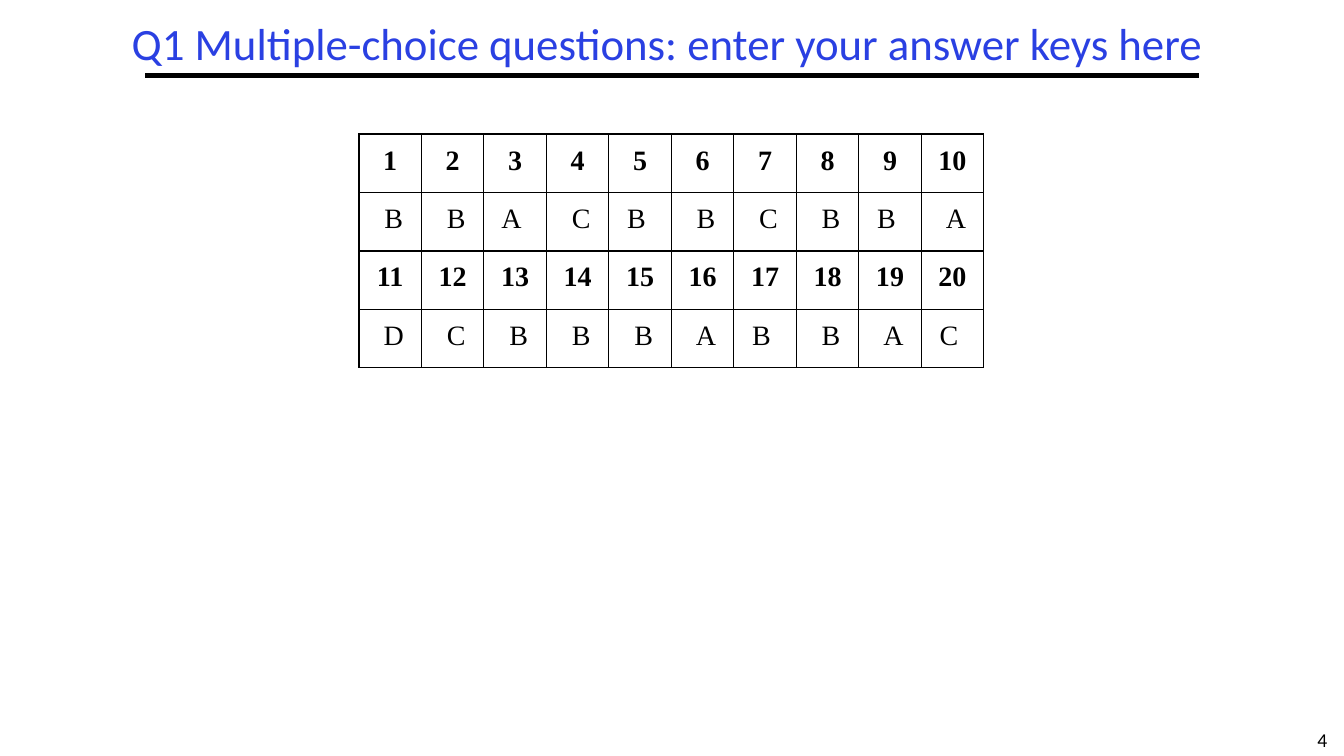
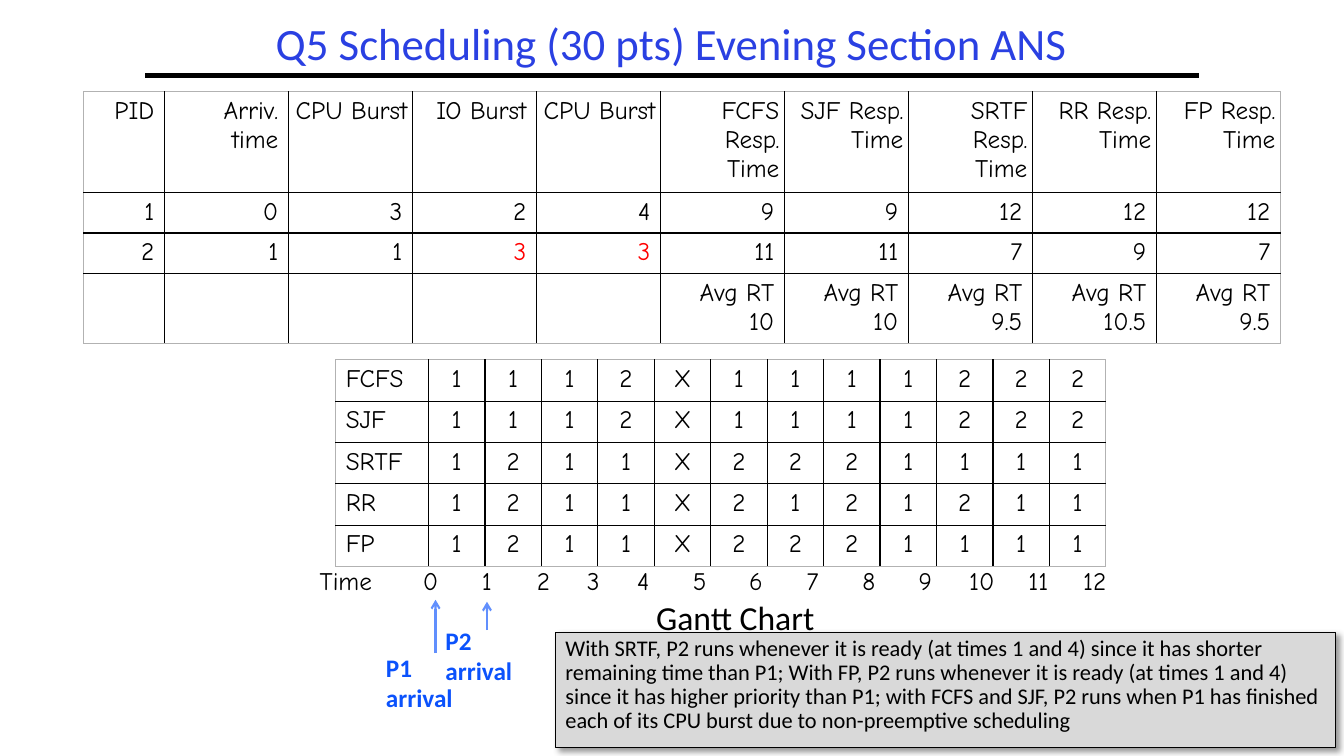
from lxml import etree
from pptx import Presentation
from pptx.dml.color import RGBColor
from pptx.enum.shapes import MSO_CONNECTOR, MSO_SHAPE
from pptx.enum.text import MSO_ANCHOR, PP_ALIGN
from pptx.oxml.ns import qn
from pptx.util import Inches, Pt

LEFT, CENTER, RIGHT = PP_ALIGN.LEFT, PP_ALIGN.CENTER, PP_ALIGN.RIGHT
TOP, MIDDLE = MSO_ANCHOR.TOP, MSO_ANCHOR.MIDDLE
STRAIGHT, RECT = MSO_CONNECTOR.STRAIGHT, MSO_SHAPE.RECTANGLE

BLACK, WHITE, RED = "000000", "FFFFFF", "FF0000"
TITLE_BLUE, ARROW_BLUE, LABEL_BLUE = "2A40E2", "618FFD", "0B52FC"
NOTE_GREY, EDGE_GREY = "D9D9D9", "B2B2B2"
SANS, SERIF, COMIC = "Calibri", "Times New Roman", "Comic Neue"


def rgb(color):
    return RGBColor.from_string(color)


def add_run(p, text, size, font=SANS, color=BLACK, bold=False):
    r = p.add_run()
    r.text = text
    r.font.size = Pt(size)
    r.font.name = font
    r.font.bold = bold
    r.font.color.rgb = rgb(color)


def fill_text(sp, text, size, color=BLACK, bold=False, align=LEFT,
              anchor=TOP, spacing=1.0):
    tf = sp.text_frame
    tf.word_wrap = True
    tf.vertical_anchor = anchor
    p = tf.paragraphs[0]
    p.alignment = align
    p.line_spacing = spacing
    add_run(p, text, size, color=color, bold=bold)


def add_text(s, box, text, size, **style):
    sp = s.shapes.add_textbox(*map(Inches, box))
    fill_text(sp, text, size, **style)


def add_line(s, start, end, color, width, arrow=False):
    line = s.shapes.add_connector(STRAIGHT, *map(Inches, start + end))
    line.line.color.rgb = rgb(color)
    line.line.width = Pt(width)
    if arrow:
        ln = line.line._get_or_add_ln()
        etree.SubElement(ln, qn("a:tailEnd"), type="arrow")
    etree.SubElement(line._element.spPr, qn("a:effectLst"))


# Tables
def set_borders(cell, colors):
    """Colours go left, right, top, bottom; None hides the edge."""
    tc_pr = cell._tc.get_or_add_tcPr()
    for i, (side, color) in enumerate(zip("LRTB", colors)):
        ln = etree.Element(qn(f"a:ln{side}"), w=str(Pt(1)))
        if color:
            fill = etree.SubElement(ln, qn("a:solidFill"))
            etree.SubElement(fill, qn("a:srgbClr"), val=color)
        else:
            etree.SubElement(ln, qn("a:noFill"))
        tc_pr.insert(i, ln)


def add_grid(s, left, top, cols, rows, inner=BLACK, outer=BLACK):
    """Add a plain table whose cells have no fill."""
    table = s.shapes.add_table(
        len(rows), len(cols), Inches(left), Inches(top),
        Inches(sum(cols)), Inches(sum(rows))).table
    table.first_row = table.horz_banding = False
    for col, width in zip(table.columns, cols):
        col.width = Inches(width)
    for row, height in zip(table.rows, rows):
        row.height = Inches(height)
    for i in range(len(rows)):
        for j in range(len(cols)):
            cell = table.cell(i, j)
            cell.fill.background()
            at_edge = (j == 0, j == len(cols) - 1, i == 0, i == len(rows) - 1)
            set_borders(cell, [outer if edge else inner for edge in at_edge])
    return table


def fill_cell(cell, text, align, size=18, font=COMIC, color=BLACK, bold=False):
    tf = cell.text_frame
    for i, line in enumerate(text.split("\n")):
        p = tf.add_paragraph() if i else tf.paragraphs[0]
        p.alignment = align
        add_run(p, line, size, font, color, bold)
    return tf.paragraphs[0]


def set_margins(cell, left, right, vertical):
    cell.margin_left, cell.margin_right = Inches(left), Inches(right)
    cell.margin_top = cell.margin_bottom = Inches(vertical)


# Shared slide frame
def add_titled_slide(prs, title, box, number=None):
    s = prs.slides.add_slide(prs.slide_layouts[6])
    s.background.fill.solid()
    s.background.fill.fore_color.rgb = rgb(WHITE)
    if number:
        add_text(s, (12.9, 7.17, 0.43, 0.33), number, 14, align=CENTER)
    add_line(s, (1.44, 0.75), (11.89, 0.75), BLACK, 3)
    add_text(s, box, title, 32, color=TITLE_BLUE, align=CENTER,
             anchor=MIDDLE, spacing=0.9)
    return s


# Answer keys
def add_answer_keys(s, left, top):
    answers = "BBACBBCBBADCBBBABBAC"
    left_leaning = {3, 5, 9, 17, 20}
    per_row, pad, nudge = 10, 0.07, 0.07
    table = add_grid(s, left, top, [0.62] * per_row, [0.58] * 4)
    for number, answer in enumerate(answers, 1):
        block, j = divmod(number - 1, per_row)
        key, value = table.cell(2 * block, j), table.cell(2 * block + 1, j)
        set_margins(key, pad, pad, 0)
        if number in left_leaning:
            set_margins(value, pad, pad + nudge, 0)
        else:
            set_margins(value, pad + nudge, pad, 0)
        for cell, text, bold in ((key, str(number), True),
                                 (value, answer, False)):
            p = fill_cell(cell, text, CENTER, 20, SERIF, bold=bold)
            p.line_spacing = Pt(30)
            p.space_after = Pt(3.6)


# Scheduling answer
def add_response_times(s, left, top):
    policies = ["FCFS", "SJF", "SRTF", "RR", "FP"]
    averages = ["10", "10", "9.5", "10.5", "9.5"]
    rows = [
        ["PID", "Arriv. time", "CPU Burst", "IO Burst", "CPU Burst"]
        + [f"{name} Resp. Time" for name in policies],
        ["1", "0", "3", "2", "4", "9", "9", "12", "12", "12"],
        ["2", "1", "1", "3", "3", "11", "11", "7", "9", "7"],
        [""] * 5 + [f"Avg RT\n{value}" for value in averages],
    ]
    red_cells = {(2, 3), (2, 4)}
    table = add_grid(s, left, top, [0.8] + [1.23] * 9, [1.0, 0.4, 0.4, 0.7],
                     outer=EDGE_GREY)
    for i, row in enumerate(rows):
        for j, text in enumerate(row):
            if text:
                color = RED if (i, j) in red_cells else BLACK
                fill_cell(table.cell(i, j), text, RIGHT, color=color)
    for j in (2, 4, 5, 6, 7, 8, 9):
        set_margins(table.cell(0, j), 0.05, 0.05, 0.05)


def add_gantt(s, left, top):
    schedules = {
        "FCFS": "1112X1111222",
        "SJF": "1112X1111222",
        "SRTF": "1211X2221111",
        "RR": "1211X2121211",
        "FP": "1211X2221111",
    }
    label, slot, height = 0.92, 0.56, 0.41
    table = add_grid(s, left, top, [label] + [slot] * 12,
                     [height] * len(schedules), outer=EDGE_GREY)
    for i, (name, slots) in enumerate(schedules.items()):
        fill_cell(table.cell(i, 0), name, LEFT)
        for j, pid in enumerate(slots, 1):
            fill_cell(table.cell(i, j), pid, CENTER)

    # Time axis
    widths = [label] + [slot] * 3 + [0.43] + [slot] * 9
    axis = add_grid(s, left - 0.26, top + 2.01, widths, [height],
                    inner=None, outer=None)
    fill_cell(axis.cell(0, 0), "Time", LEFT)
    for tick in range(13):
        fill_cell(axis.cell(0, tick + 1), str(tick), CENTER)
    add_text(s, (left + 3.08, top + 2.38, 1.83, 0.43), "Gantt Chart", 24,
             spacing=0.8)


def add_arrival(s, text, x, tip, base, left, top):
    add_line(s, (x, base), (x, tip), ARROW_BLUE, 1.5, arrow=True)
    add_text(s, (left, top, 0.95, 0.7), text, 18, color=LABEL_BLUE, bold=True)


def add_note(s, box, text):
    sp = s.shapes.add_shape(RECT, *map(Inches, box))
    sp.shadow.inherit = False
    sp.fill.solid()
    sp.fill.fore_color.rgb = rgb(NOTE_GREY)
    sp.line.color.rgb = rgb(BLACK)
    sp.line.width = Pt(0.75)
    effects = sp._element.spPr.find(qn("a:effectLst"))
    shadow = etree.SubElement(effects, qn("a:outerShdw"), blurRad=str(Pt(4)),
                              dist=str(Pt(3)), dir="2700000", algn="tl")
    color = etree.SubElement(shadow, qn("a:srgbClr"), val=BLACK)
    etree.SubElement(color, qn("a:alpha"), val="40000")
    fill_text(sp, text, 16, spacing=0.9)


def main():
    prs = Presentation()
    prs.slide_width, prs.slide_height = Inches(13.33), Inches(7.5)

    s = add_titled_slide(
        prs, "Q1 Multiple-choice questions: enter your answer keys here",
        (0.83, 0.17, 11.58, 0.58), number="4")
    add_answer_keys(s, 3.56, 1.33)

    s = add_titled_slide(prs, "Q5 Scheduling (30 pts) Evening Section ANS",
                         (1.44, 0.17, 10.44, 0.58))
    add_gantt(s, 3.33, 3.57)
    add_arrival(s, "P1 arrival", 4.32, 5.95, 6.48, 3.73, 6.42)
    add_arrival(s, "P2 arrival", 4.83, 5.97, 6.25, 4.32, 6.15)
    add_response_times(s, 0.83, 0.91)
    add_note(
        s, (5.51, 6.27, 7.74, 1.15),
        "With SRTF, P2 runs whenever it is ready (at times 1 and 4) since it "
        "has shorter remaining time than P1; With FP, P2 runs whenever it is "
        "ready (at times 1 and 4) since it has higher priority than P1; with "
        "FCFS and SJF, P2 runs when P1 has finished each of its CPU burst due "
        "to non-preemptive scheduling")

    prs.save("out.pptx")


if __name__ == "__main__":
    main()
